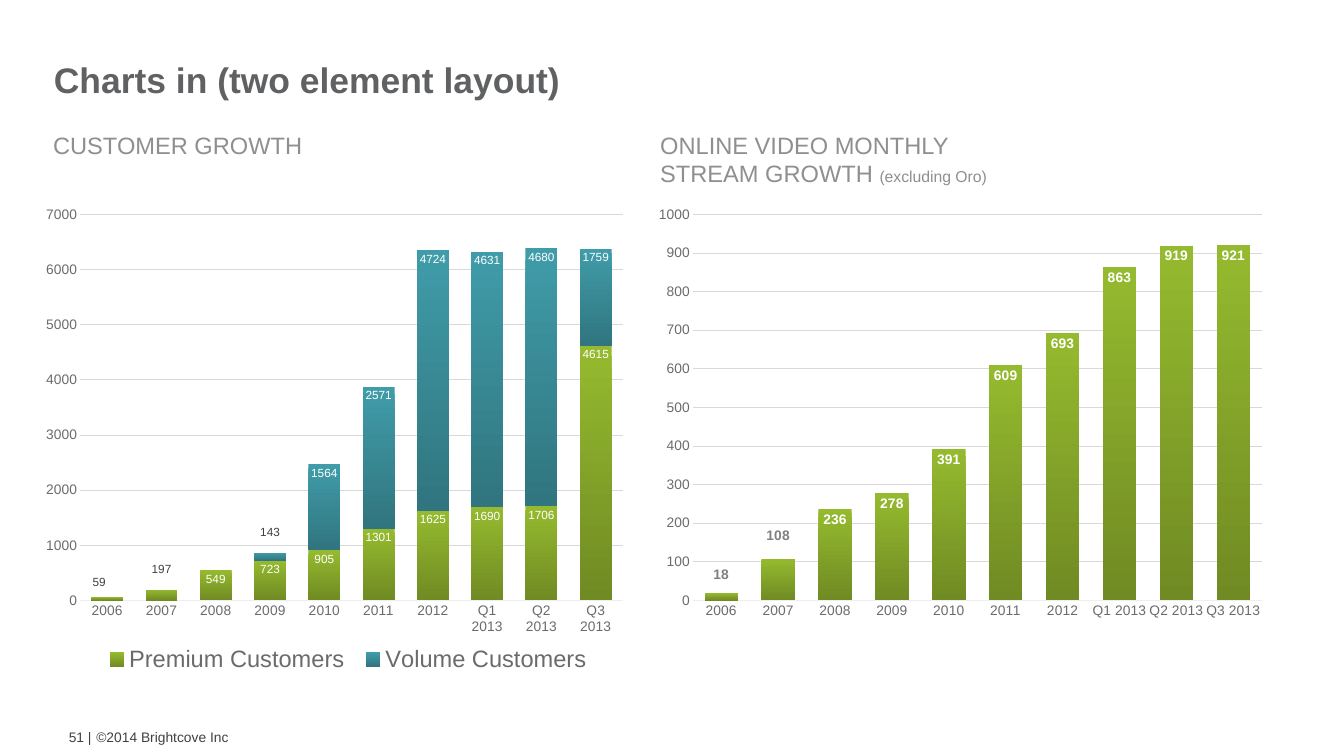
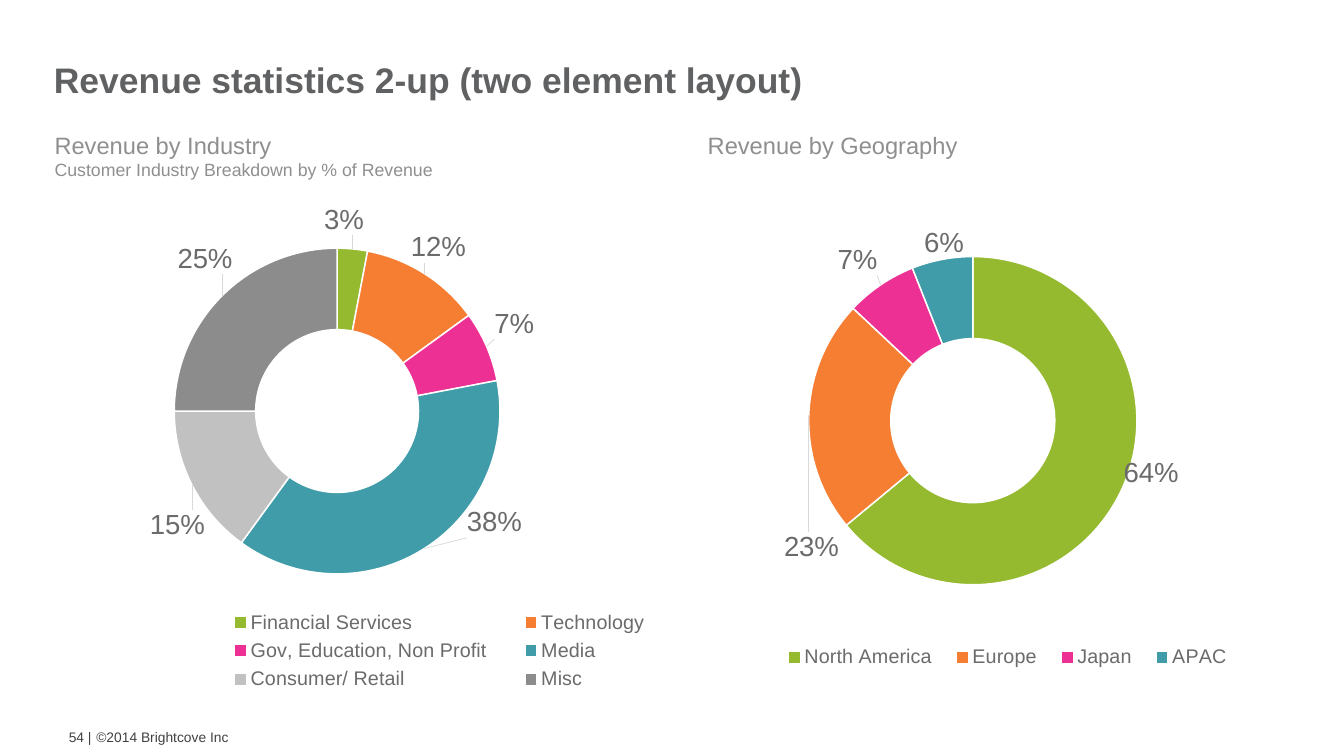
import math

from pptx import Presentation
from pptx import util as u
from pptx.chart.data import CategoryChartData
from pptx.dml.color import RGBColor
from pptx.enum import chart as ch
from pptx.enum import text
from pptx.oxml import parse_xml
from pptx.oxml.ns import nsdecls

# Shared style
FONT = "Arial"
TITLE, HEADING, FOOTER, LABEL = "606163", "8F8F90", "3F4140", "6B6B6C"
GRID, AXIS, WHITE, DARK = "D9D9D9", "EEEEEE", "FFFFFF", "404040"
GREEN, TEAL = ("95BA2F", "708B23"), ("409CA9", "30757F")
SLICES = ["95BA2F", "F67E33", "ED3093", "409CA9", "C1C1C1", "8C8C8C"]
COPYRIGHT = "©2014 Brightcove Inc"

# Content: a heading is a list of lines, a line a list of (text, size)
PERIODS = ["2006", "2007", "2008", "2009", "2010", "2011", "2012",
           "Q1 2013", "Q2 2013", "Q3 2013"]
COLUMN_PLOT = (0.057, 0.024, 0.936, 0.803)
SLIDES = [
    {
        "title": "Charts in (two element layout)",
        "number": 51,
        "headings": [
            ((0.65, 1.79, 5.05, 0.5), [[("CUSTOMER GROWTH", 24)]]),
            ((9.21, 1.79, 5.98, 0.91), [
                [("ONLINE VIDEO MONTHLY", 24)],
                [("STREAM GROWTH ", 24), ("(excluding Oro)", 16)]]),
        ],
        # "raised" holds labels lifted above short columns: index -> offset
        "columns": [
            {"at": (0.65, 2.86, 8.19, 6.78), "top": 7000, "step": 1000,
             "size": 12, "bold": False, "raised_color": DARK,
             "legend": (0.084, 0.91, 0.87, 0.08),
             "series": [
                 ("Premium Customers", GREEN,
                  [59, 197, 549, 723, 905, 1301, 1625, 1690, 1706, 4615],
                  {0: (-0.014, -0.05), 1: (0, -0.06)}),
                 ("Volume Customers", TEAL,
                  [None, None, None, 143, 1564, 2571, 4724, 4631, 4680, 1759],
                  {3: (0, -0.06)})]},
            {"at": (9.28, 2.86, 8.57, 6.78), "top": 1000, "step": 100,
             "size": 14, "bold": True, "raised_color": "7F7F7F",
             "legend": None,
             "series": [
                 ("Series 1", GREEN,
                  [18, 108, 236, 278, 391, 609, 693, 863, 919, 921],
                  {0: (0, -0.06), 1: (0, -0.07)})]},
        ],
    },
    {
        "title": "Revenue statistics 2-up (two element layout)",
        "number": 54,
        "headings": [
            ((9.88, 1.8, 5.05, 0.5), [[("Revenue by Geography", 24)]]),
            ((0.67, 1.79, 5.98, 0.81), [
                [("Revenue by Industry", 24)],
                [("Customer Industry Breakdown by % of Revenue", 18)]]),
        ],
        # each slice: name, share, centre of its label on the slide
        "rings": [
            {"at": (10.22, 2.11, 8.57, 8.57),
             "plot": (0.138, 0.105, 0.54, 0.682),
             "legend": (0.075, 0.81, 0.78, 0.05),
             "slices": [("North America", 0.64, (16.23, 6.67)),
                        ("Europe", 0.23, (11.44, 7.72)),
                        ("Japan", 0.07, (12.09, 3.67)),
                        ("APAC", 0.06, (13.31, 3.43))]},
            {"at": (1.79, 2.09, 8.9, 8.59),
             "plot": (0.075, 0.164, 0.516, 0.535),
             "legend": (0.12, 0.75, 0.75, 0.15),
             "slices": [("Financial Services", 0.03, (4.85, 3.1)),
                        ("Technology", 0.12, (6.18, 3.49)),
                        ("Gov, Education, Non Profit", 0.07, (7.25, 4.57)),
                        ("Media", 0.38, (6.97, 7.37)),
                        ("Consumer/ Retail", 0.15, (2.5, 7.41)),
                        ("Misc", 0.25, (2.89, 3.65))]},
        ],
    },
]


def rgb(value):
    return RGBColor.from_string(value)


def style(font, size, color, bold=False):
    font.name, font.size, font.bold = FONT, u.Pt(size), bold
    font.color.rgb = rgb(color)


def box(at):
    return [u.Inches(v) for v in at]


def add_text(s, at, lines, color, bold=False, middle=False,
             align=text.PP_ALIGN.LEFT, inset=(0.1, 0.05)):
    tf = s.shapes.add_textbox(*box(at)).text_frame
    tf.word_wrap = True
    tf.margin_left = tf.margin_right = u.Inches(inset[0])
    tf.margin_top = tf.margin_bottom = u.Inches(inset[1])
    tf.vertical_anchor = (text.MSO_ANCHOR.MIDDLE if middle
                          else text.MSO_ANCHOR.TOP)
    p = tf.paragraphs[0]
    p.alignment = align
    for i, line in enumerate(lines):
        if i:
            p.add_line_break()
        for words, size in line:
            r = p.add_run()
            r.text = words
            style(r.font, size, color, bold)


# Chart helpers
def layout_xml(x, y, w=None, h=None, inner=False):
    parts = '<c:layoutTarget val="inner"/>' if inner else ""
    if w is not None:
        parts += '<c:xMode val="edge"/><c:yMode val="edge"/>'
    for tag, value in zip("xywh", (x, y, w, h)):
        if value is not None:
            parts += f'<c:{tag} val="{value:.4f}"/>'
    return parse_xml(f'<c:layout {nsdecls("c")}><c:manualLayout>{parts}'
                     '</c:manualLayout></c:layout>')


def set_layout(parent, after, layout):
    for old in parent.xpath("c:layout"):
        parent.remove(old)
    if after is None:
        parent.insert(0, layout)
    else:
        parent.xpath(f"c:{after}")[0].addnext(layout)


def add_chart(s, kind, at, data, plot, legend, legend_size):
    chart = s.shapes.add_chart(kind, *box(at), data).chart
    style(chart.font, 10, HEADING)
    chart.has_title = False
    chart.has_legend = legend is not None
    if legend:
        chart.legend.position = ch.XL_LEGEND_POSITION.BOTTOM
        chart.legend.include_in_layout = False
        style(chart.legend.font, legend_size, LABEL)
        set_layout(chart.legend._element, "legendPos", layout_xml(*legend))
    area = chart._chartSpace.xpath("c:chart/c:plotArea")[0]
    set_layout(area, None, layout_xml(*plot, inner=True))
    return chart


def label_series(ser, size, color, bold=False, leaders=False):
    labels = ser.data_labels
    labels.show_value = True
    style(labels.font, size, color, bold)
    el = labels._element
    for old in el.xpath("c:showLeaderLines"):
        el.remove(old)
    el.append(parse_xml(f'<c:showLeaderLines {nsdecls("c")} '
                        f'val="{int(leaders)}"/>'))
    if leaders:
        el.append(parse_xml(
            f'<c:leaderLines {nsdecls("c", "a")}><c:spPr><a:ln w="9525">'
            f'<a:solidFill><a:srgbClr val="{GRID}"/></a:solidFill></a:ln>'
            '</c:spPr></c:leaderLines>'))
    return labels


def move_label(ser, index, offset, size, color, bold=False, position=None):
    label = ser.points[index].data_label
    style(label.font, size, color, bold)
    if position is not None:
        label.position = position
    el = ser.data_labels._element.xpath(f'c:dLbl[c:idx/@val="{index}"]')[0]
    set_layout(el, "idx", layout_xml(*offset))


def add_columns(s, spec_):
    data = CategoryChartData()
    data.categories = PERIODS
    for name, _, values, _ in spec_["series"]:
        data.add_series(name, values)
    chart = add_chart(s, ch.XL_CHART_TYPE.COLUMN_STACKED, spec_["at"], data,
                      COLUMN_PLOT, spec_["legend"], 24)
    plot = chart.plots[0]
    plot.gap_width, plot.overlap, plot.vary_by_categories = 70, 100, False

    # Axes
    for axis in (chart.category_axis, chart.value_axis):
        axis.major_tick_mark = axis.minor_tick_mark = ch.XL_TICK_MARK.NONE
        style(axis.tick_labels.font, 14, LABEL)
    line = chart.category_axis.format.line
    line.color.rgb, line.width = rgb(AXIS), u.Pt(0.75)
    axis = chart.value_axis
    axis.format.line.fill.background()
    axis.minimum_scale, axis.maximum_scale = 0, spec_["top"]
    axis.major_unit = spec_["step"]
    grid = axis.major_gridlines.format.line
    grid.color.rgb, grid.width = rgb(GRID), u.Pt(0.75)

    # Columns and their labels
    inside = ch.XL_LABEL_POSITION.INSIDE_END
    for ser, (_, colors, _, raised) in zip(plot.series, spec_["series"]):
        fill = ser.format.fill
        fill.gradient()
        fill.gradient_angle = 270
        for stop, color in zip(fill.gradient_stops, colors):
            stop.color.rgb = rgb(color)
        labels = label_series(ser, spec_["size"], WHITE, spec_["bold"])
        labels.position = inside
        for index, offset in raised.items():
            move_label(ser, index, offset, spec_["size"],
                       spec_["raised_color"], spec_["bold"], inside)


def add_ring(s, ring):
    names, shares, centres = zip(*ring["slices"])
    data = CategoryChartData(number_format="0%")
    data.categories = names
    data.add_series("Series 1", shares)
    chart = add_chart(s, ch.XL_CHART_TYPE.DOUGHNUT, ring["at"], data,
                      ring["plot"], ring["legend"], 20)
    plot = chart.plots[0]
    plot._element.xpath("c:holeSize")[0].set("val", "70")
    ser = plot.series[0]
    labels = label_series(ser, 28, LABEL, leaders=True)
    labels.number_format, labels.number_format_is_linked = "0%", False

    # Offsets run from the middle of each slice to its label centre
    left, top, width, height = ring["at"]
    x, y, w, h = ring["plot"]
    cx, cy = left + (x + w / 2) * width, top + (y + h / 2) * height
    radius = 0.75 * min(w * width, h * height) / 2
    before = 0
    for i, (share, (lx, ly)) in enumerate(zip(shares, centres)):
        fmt = ser.points[i].format
        fmt.fill.solid()
        fmt.fill.fore_color.rgb = rgb(SLICES[i])
        fmt.line.color.rgb, fmt.line.width = rgb(WHITE), u.Pt(1.5)
        angle = 2 * math.pi * (before + share / 2)
        before += share
        dx = lx - cx - radius * math.sin(angle)
        dy = ly - cy + radius * math.cos(angle)
        move_label(ser, i, (dx / width, dy / height), 28, LABEL)


def add_slide(prs, content):
    s = prs.slides.add_slide(prs.slide_layouts[6])
    for chart in content.get("columns", []):
        add_columns(s, chart)
    for ring in content.get("rings", []):
        add_ring(s, ring)
    # Title, headings and footer
    add_text(s, (0.59, 0.33, 16.1, 1.59), [[(content["title"], 36)]], TITLE,
             bold=True, middle=True, inset=(0.17, 0.08))
    for at, lines in content["headings"]:
        add_text(s, at, lines, HEADING)
    add_text(s, (1.26, 10.11, 6, 0.57), [[(COPYRIGHT, 14)]], FOOTER,
             middle=True)
    add_text(s, (0.65, 10.11, 0.74, 0.57), [[(f"{content['number']} |", 14)]],
             FOOTER, middle=True, align=text.PP_ALIGN.RIGHT)


def main():
    prs = Presentation()
    prs.slide_width, prs.slide_height = u.Inches(18.95), u.Inches(10.66)
    for content in SLIDES:
        add_slide(prs, content)
    prs.save("out.pptx")


if __name__ == "__main__":
    main()
